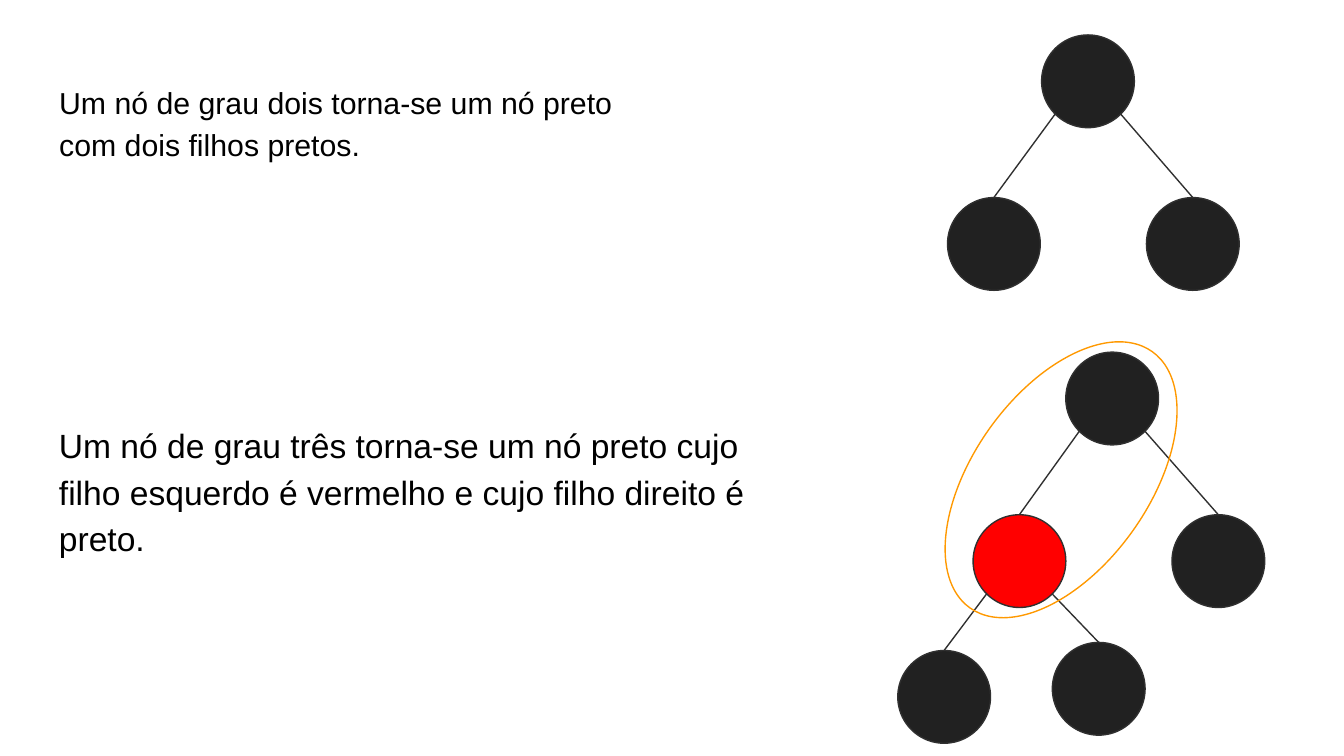
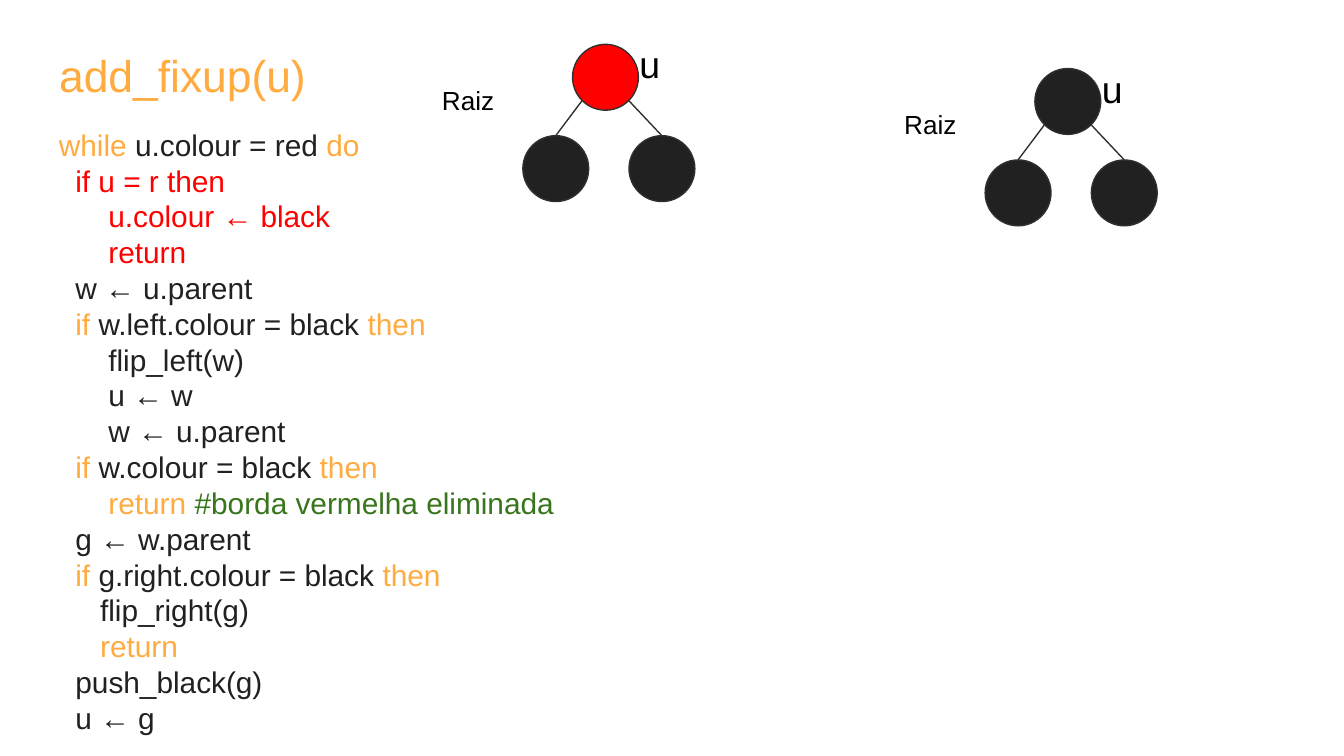
from lxml.etree import SubElement
from pptx import Presentation
from pptx.dml.color import RGBColor
from pptx.enum.shapes import MSO_CONNECTOR, MSO_SHAPE
from pptx.enum.text import MSO_ANCHOR, MSO_AUTO_SIZE, PP_ALIGN
from pptx.oxml.ns import qn
from pptx.util import Inches, Pt

COLOURS = {
    "text": "000000",
    "code": "212121",
    "keyword": "FFAB40",
    "comment": "38761D",
    "black": "212121",
    "red": "FF0000",
    "outline": "303030",
    "highlight": "FF9900",
}
FONT = "Arial"
SLIDE_WIDTH = 10
SLIDE_HEIGHT = SLIDE_WIDTH * 9 / 16
INSET = 0.1
LINE_WIDTH = 0.75
DIAGONAL = 2 ** 0.5 / 4

DEGREE_TWO = "Um nó de grau dois torna-se um nó preto \vcom dois filhos pretos."
DEGREE_THREE = (
    "Um nó de grau três torna-se um nó preto cujo filho esquerdo "
    "é vermelho e cujo filho direito é preto."
)

LEAF = ("black", [])
DEGREE_TWO_TREE = ("black", [(-0.7, 1.21, LEAF), (0.78, 1.21, LEAF)])
RED_CHILD = ("red", [(-0.56, 1.01, LEAF), (0.59, 0.95, LEAF)])
DEGREE_THREE_TREE = ("black", [(-0.69, 1.21, RED_CHILD), (0.79, 1.21, LEAF)])
SMALL_CHILDREN = [(-0.37, 0.68, LEAF), (0.42, 0.68, LEAF)]
ROOT_TREES = [
    (4.26, 0.33, ("red", SMALL_CHILDREN)),
    (7.7, 0.51, ("black", SMALL_CHILDREN)),
]
LARGE_NODE = 0.69
SMALL_NODE = 0.49

ADD_FIXUP = [
    [("while ", "keyword"), ("u.colour = red ", "code"), ("do", "keyword")],
    [("  if u = r then", "red")],
    [("      u.colour ← black", "red")],
    [("      return", "red")],
    [("  w ← u.parent", "code")],
    [("  if", "keyword"), (" w.left.colour = black ", "code"), ("then", "keyword")],
    [("      flip_left(w)", "code")],
    [("      u ← w", "code")],
    [("      w ← u.parent", "code")],
    [("  if ", "keyword"), ("w.colour = black ", "code"), ("then", "keyword")],
    [("      return", "keyword"), (" #borda vermelha eliminada", "comment")],
    [("  g ← w.parent", "code")],
    [("  if ", "keyword"), ("g.right.colour = black ", "code"), ("then", "keyword")],
    [("     flip_right(g)", "code")],
    [("     return", "keyword")],
    [("  push_black(g)", "code")],
    [("  u ← g", "code")],
]


def rgb(colour):
    return RGBColor.from_string(COLOURS[colour])


def format_font(font, size, colour):
    font.name = FONT
    font.size = Pt(size)
    font.color.rgb = rgb(colour)


def place(shape, left, top, width, height):
    shape.left, shape.top = Inches(left), Inches(top)
    shape.width, shape.height = Inches(width), Inches(height)


def prepare_frame(frame, auto_size):
    frame.word_wrap = True
    frame.auto_size = auto_size
    frame.vertical_anchor = MSO_ANCHOR.TOP
    frame.margin_left = frame.margin_right = Inches(INSET)
    frame.margin_top = frame.margin_bottom = Inches(INSET)


def set_title(page, text, bounds, size, colour, spacing=1.0):
    title = page.shapes.title
    place(title, *bounds)
    prepare_frame(title.text_frame, MSO_AUTO_SIZE.NONE)
    para = title.text_frame.paragraphs[0]
    para.text = text
    para.alignment = PP_ALIGN.LEFT
    para.line_spacing = spacing
    for span in para.runs:
        format_font(span.font, size, colour)


def add_text(page, lines, bounds, size):
    box = page.shapes.add_textbox(*map(Inches, bounds))
    frame = box.text_frame
    prepare_frame(frame, MSO_AUTO_SIZE.SHAPE_TO_FIT_TEXT)
    for index, line in enumerate(lines):
        para = frame.add_paragraph() if index else frame.paragraphs[0]
        for text, colour in line:
            span = para.add_run()
            span.text = text
            format_font(span.font, size, colour)
    return box


def add_ellipse(page, bounds, outline, fill=None):
    ellipse = page.shapes.add_shape(MSO_SHAPE.OVAL, *map(Inches, bounds))
    ellipse.shadow.inherit = False
    if fill:
        ellipse.fill.solid()
        ellipse.fill.fore_color.rgb = rgb(fill)
    else:
        ellipse.fill.background()
    ellipse.line.color.rgb = rgb(outline)
    ellipse.line.width = Pt(LINE_WIDTH)
    return ellipse


def add_edge(page, start, child):
    edge = page.shapes.add_connector(
        MSO_CONNECTOR.STRAIGHT, *map(Inches, start), child.left, child.top
    )
    edge.end_connect(child, 0)
    edge.line.color.rgb = rgb("outline")
    edge.line.width = Pt(LINE_WIDTH)
    SubElement(edge._element.spPr, qn("a:effectLst"))


def draw_tree(page, left, top, size, tree):
    colour, children = tree
    node = add_ellipse(page, (left, top, size, size), "outline", colour)
    for across, down, subtree in children:
        child = draw_tree(page, left + across, top + down, size, subtree)
        side = DIAGONAL if across > 0 else -DIAGONAL
        start = (left + size * (0.5 + side), top + size * (0.5 + DIAGONAL))
        add_edge(page, start, child)
    return node


def build_degrees(page):
    set_title(page, DEGREE_TWO, (0.34, 0.49, 4.71, 0.63), 16.2, "text", 1.15)
    draw_tree(page, 7.75, 0.26, LARGE_NODE, DEGREE_TWO_TREE)
    box = add_text(page, [[(DEGREE_THREE, "text")]], (0.34, 3.02, 5.32, 1.2), 18)
    para = box.text_frame.paragraphs[0]
    para.line_spacing = 1.15
    para.space_after = Pt(12)
    draw_tree(page, 7.93, 2.62, LARGE_NODE, DEGREE_THREE_TREE)
    highlight = add_ellipse(page, (7.24, 2.4, 1.31, 2.34), "highlight")
    highlight.rotation = 35.4


def build_add_fixup(page):
    set_title(page, "add_fixup(u)", (0.34, 0.26, 2.49, 0.63), 23.8, "keyword")
    add_text(page, ADD_FIXUP, (0.34, 0.84, 4.07, 4.78), 16)
    for left, top, tree in ROOT_TREES:
        draw_tree(page, left, top, SMALL_NODE, tree)
        add_text(page, [[("Raiz", "text")]], (left - 1.07, top + 0.2, 0.67, 0.44), 14)
        add_text(page, [[("u", "text")]], (left + 0.4, top - 0.12, 0.27, 0.54), 20)


def main():
    deck = Presentation()
    deck.slide_width, deck.slide_height = Inches(SLIDE_WIDTH), Inches(SLIDE_HEIGHT)
    title_only = deck.slide_layouts[5]
    for build in (build_degrees, build_add_fixup):
        build(deck.slides.add_slide(title_only))
    deck.save("out.pptx")


if __name__ == "__main__":
    main()
